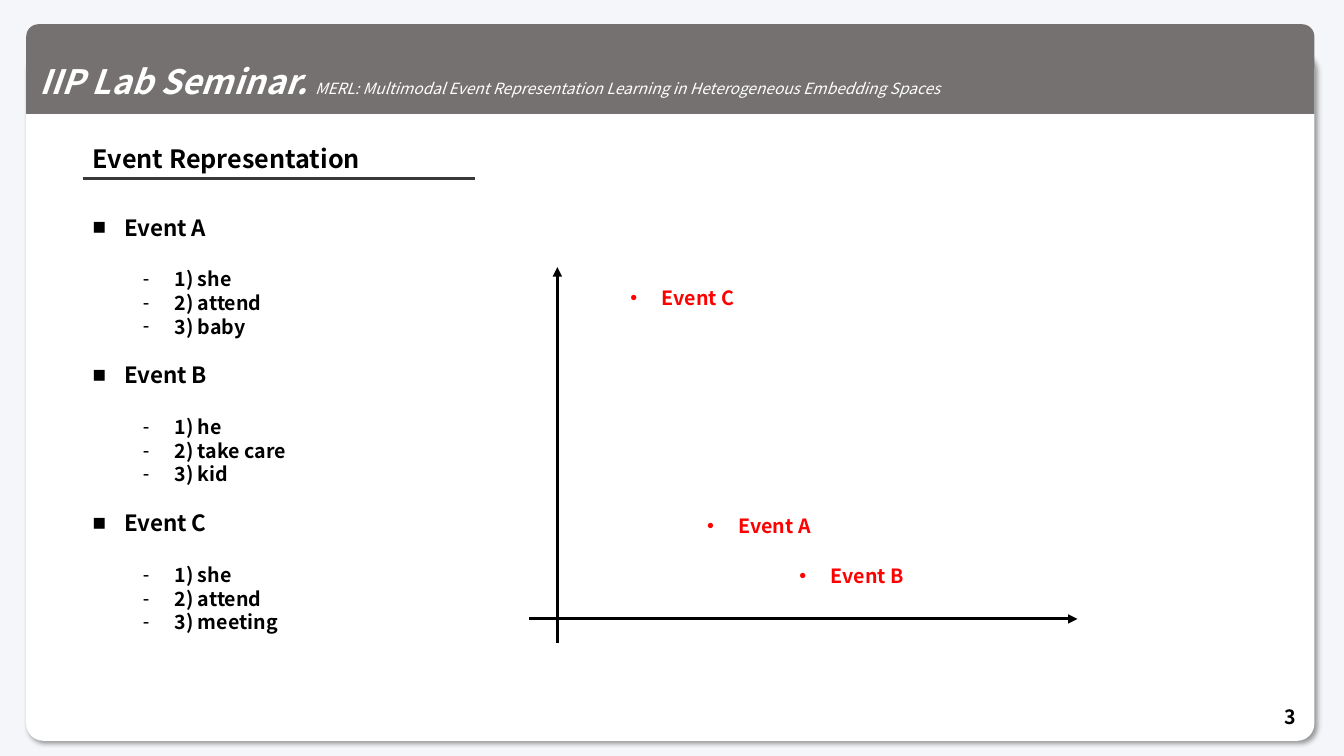
"""Build the seminar slide that places three events in an embedding space."""
from lxml import etree
from pptx import Presentation
from pptx.dml.color import RGBColor
from pptx.enum import shapes, text
from pptx.oxml import ns
from pptx.util import Pt

FONT = "Noto Sans CJK KR"
BACKGROUND = RGBColor(0xF5, 0xF6, 0xF9)
WHITE = RGBColor(0xFF, 0xFF, 0xFF)
BLACK = RGBColor(0, 0, 0)
RED = RGBColor(0xFF, 0, 0)
HEADER_GRAY = RGBColor(0x76, 0x71, 0x71)
RULE_GRAY = RGBColor(0x3B, 0x38, 0x38)

SEMINAR = "IIP Lab Seminar. "
PAPER = "MERL: Multimodal Event Representation Learning in Heterogeneous Embedding Spaces"
HEADING = "Event Representation"
PAGE_NUMBER = "3"
EVENTS = [
    ("Event A", ["she", "attend", "baby"]),
    ("Event B", ["he", "take care", "kid"]),
    ("Event C", ["she", "attend", "meeting"]),
]
POINTS = [("Event A", 450, 363.6), ("Event B", 516.24, 399.6), ("Event C", 395.28, 200.88)]
AXES = [(378, 442.08, 769.68, 442.08), (398.16, 459.36, 398.16, 190.8)]

LEFT, WIDTH = 59.04, 841.68
CARD_LEFT, CARD_WIDTH = 18.72, 920.16
HANG = 22.5
ITEM_INDENT = 58.5
LINE_HEIGHT = 1.2


def add_panel(page, kind, top, height, color, adjustments):
    """Add a borderless panel as wide as the card."""
    panel = page.shapes.add_shape(kind, Pt(CARD_LEFT), Pt(top), Pt(CARD_WIDTH), Pt(height))
    for index, value in enumerate(adjustments):
        panel.adjustments[index] = value
    panel.fill.solid()
    panel.fill.fore_color.rgb = color
    panel.line.fill.background()
    panel.shadow.inherit = False
    return panel


def add_card_shadow(card):
    """Give the card a soft shadow to the lower right."""
    effects = card._element.spPr.find(ns.qn("a:effectLst"))
    shadow = etree.SubElement(effects, ns.qn("a:outerShdw"), blurRad=str(Pt(4)),
                              dist=str(Pt(3)), dir="2700000", algn="tl", rotWithShape="0")
    color = etree.SubElement(shadow, ns.qn("a:srgbClr"), val=str(BLACK))
    etree.SubElement(color, ns.qn("a:alpha"), val="40000")


def add_line(page, ends, color, arrow=False):
    """Add a straight line, with an arrowhead at its end if asked."""
    line = page.shapes.add_connector(shapes.MSO_CONNECTOR.STRAIGHT, *map(Pt, ends))
    line.line.color.rgb = color
    line.line.width = Pt(2.25)
    if arrow:
        etree.SubElement(line.line._get_or_add_ln(), ns.qn("a:tailEnd"), type="triangle")
    etree.SubElement(line._element.spPr, ns.qn("a:effectLst"))


def add_box(page, left, top, width, height):
    """Add a wrapping text box and return its frame."""
    frame = page.shapes.add_textbox(Pt(left), Pt(top), Pt(width), Pt(height)).text_frame
    frame.word_wrap = True
    return frame


def style(para, size, color=BLACK, align=text.PP_ALIGN.LEFT):
    """Set the bold face, size, colour and alignment of a paragraph."""
    para.alignment = align
    para.font.name = FONT
    para.font.size = Pt(size)
    para.font.bold = True
    para.font.color.rgb = color


def set_bullet(para, mark, indent):
    """Hang a bullet in front of the paragraph."""
    props = para._p.get_or_add_pPr()
    props.set("marL", str(Pt(indent)))
    props.set("indent", str(Pt(-HANG)))
    bullet = etree.Element(ns.qn("a:buChar"), char=mark)
    font = etree.Element(ns.qn("a:buFont"), typeface="Arial")
    defaults = props.find(ns.qn("a:defRPr"))
    defaults.addprevious(font)
    defaults.addprevious(bullet)


def add_header(page):
    """Add the card and its title bar."""
    card = add_panel(page, shapes.MSO_SHAPE.ROUNDED_RECTANGLE, 37.44, 491.76, WHITE, [0.025])
    add_card_shadow(card)
    bar = add_panel(page, shapes.MSO_SHAPE.ROUND_2_SAME_RECTANGLE, 17.28, 64.08,
                    HEADER_GRAY, [0.137, 0])
    frame = bar.text_frame
    frame.word_wrap = True
    frame.vertical_anchor = text.MSO_ANCHOR.MIDDLE
    para = frame.paragraphs[0]
    style(para, 24, WHITE)
    para.line_spacing = 1.5
    for wording, size, bold in [(SEMINAR, 24, True), (PAPER, 11, False)]:
        span = para.add_run()
        span.text = wording
        span.font.name = FONT
        span.font.size = Pt(size)
        span.font.bold = bold
        span.font.italic = True
        span.font.color.rgb = WHITE


def add_events(page):
    """List each event with its numbered words."""
    frame = add_box(page, LEFT, 149.04, WIDTH, 310.32)
    for place, (event, words) in enumerate(EVENTS):
        para = frame.add_paragraph() if place else frame.paragraphs[0]
        para.text = event
        style(para, 16)
        para.space_before = Pt(14 * LINE_HEIGHT if place else 0)
        set_bullet(para, "■", HANG)
        for number, word in enumerate(words, 1):
            para = frame.add_paragraph()
            para.text = f"{number}) {word}"
            para.level = 1
            style(para, 14)
            para.space_before = Pt(16 * LINE_HEIGHT if number == 1 else 0)
            set_bullet(para, "-", ITEM_INDENT)


def add_plot(page):
    """Draw the axes and the three event points."""
    for ends in AXES:
        add_line(page, ends, BLACK, arrow=True)
    for event, left, top in POINTS:
        para = add_box(page, left, top, 184.32, 24.48).paragraphs[0]
        para.text = event
        style(para, 14, RED, text.PP_ALIGN.CENTER)
        set_bullet(para, "•", HANG)


def main():
    deck = Presentation()
    deck.slide_width, deck.slide_height = Pt(960), Pt(540)
    page = deck.slides.add_slide(deck.slide_layouts[6])
    page.background.fill.solid()
    page.background.fill.fore_color.rgb = BACKGROUND

    add_header(page)
    heading = add_box(page, LEFT, 98.64, WIDTH, 28.8).paragraphs[0]
    heading.text = HEADING
    style(heading, 18)
    add_line(page, (LEFT, 127.44, 339.12, 127.44), RULE_GRAY)
    add_events(page)
    add_plot(page)

    corner = add_box(page, 717.12, 497.52, 216, 28.8)
    corner.vertical_anchor = text.MSO_ANCHOR.MIDDLE
    corner.text = PAGE_NUMBER
    style(corner.paragraphs[0], 14, align=text.PP_ALIGN.RIGHT)
    deck.save("out.pptx")


if __name__ == "__main__":
    main()
